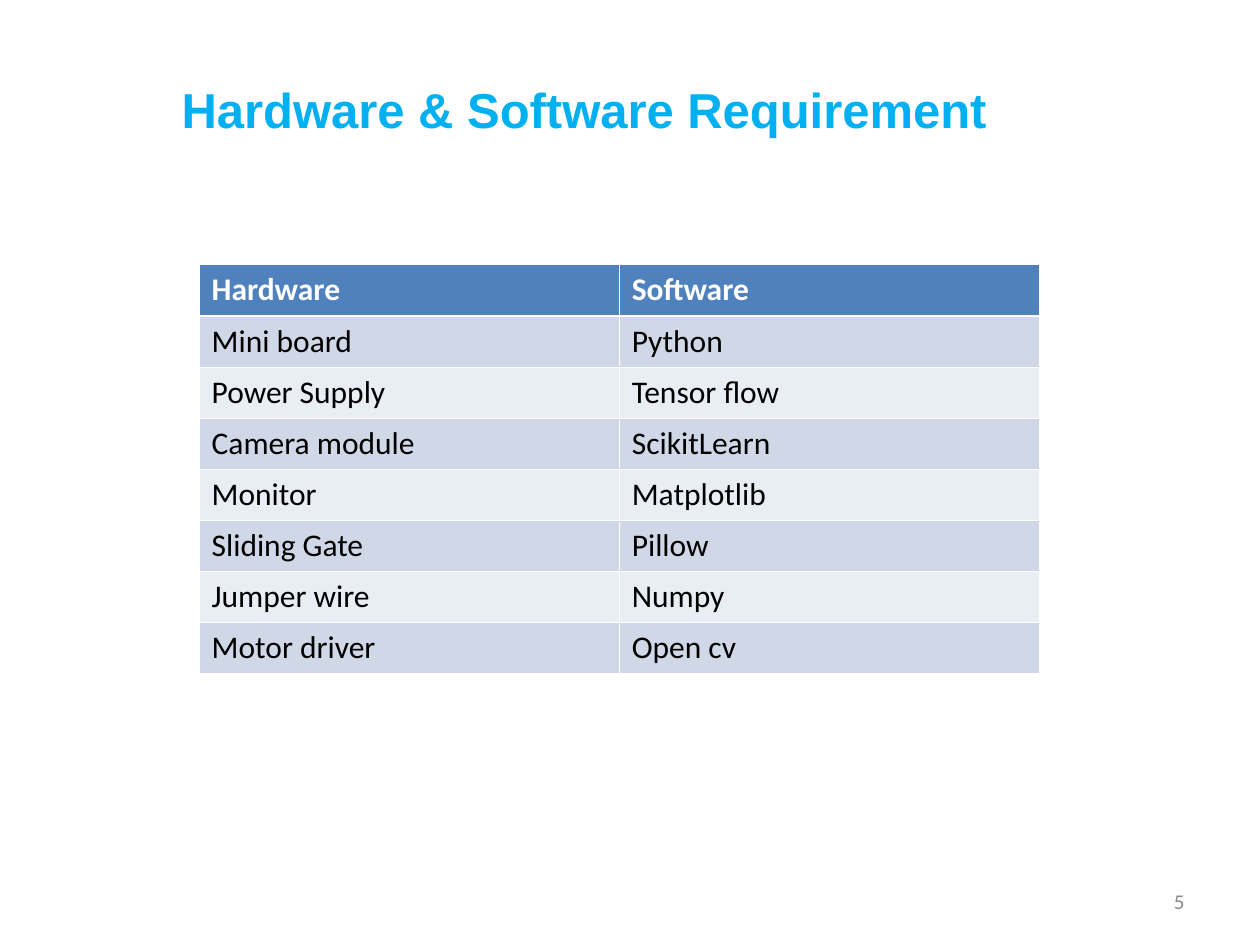
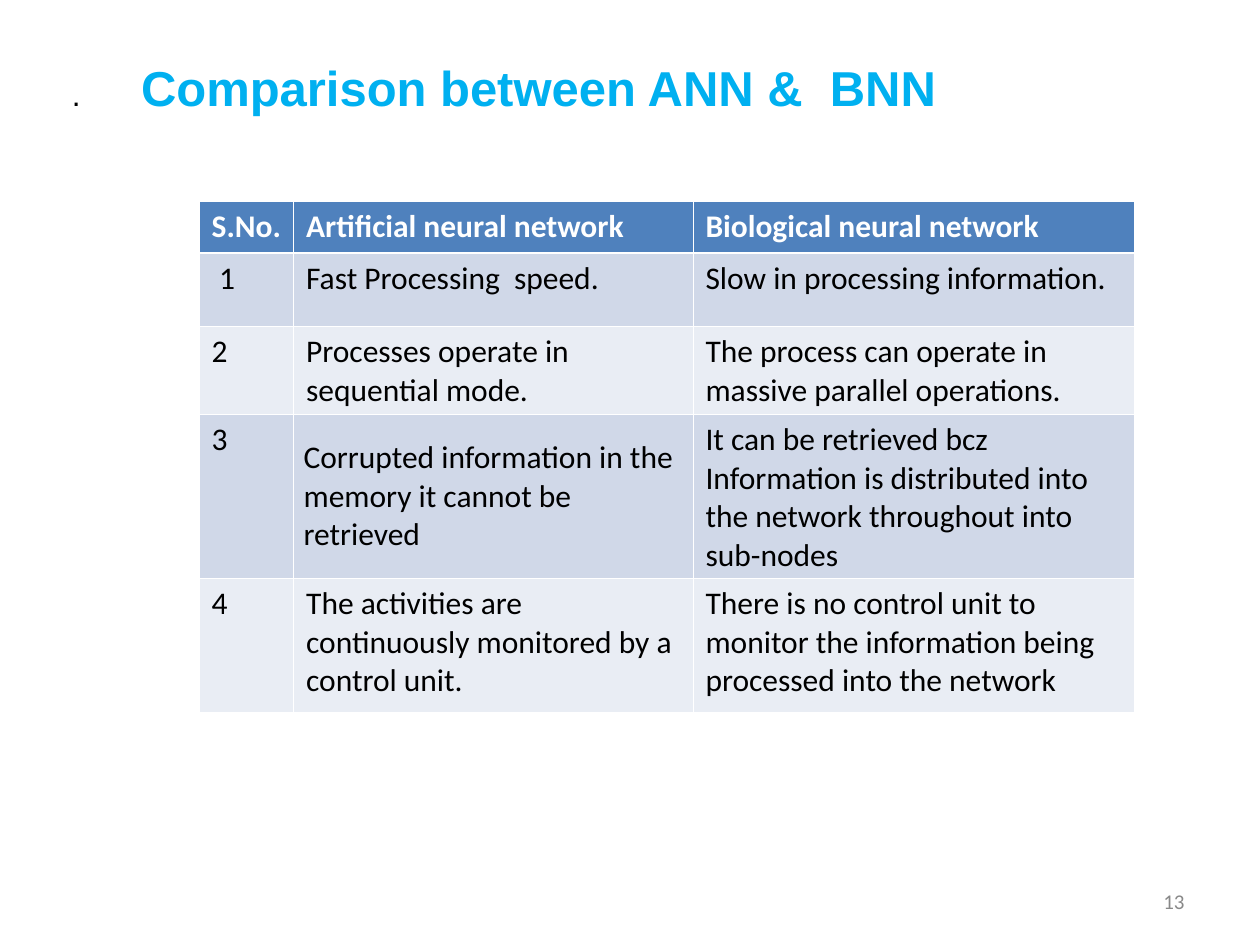
"""Build two slides that each show a titled comparison table."""
from lxml.etree import SubElement
from pptx import Presentation
from pptx.dml.color import RGBColor
from pptx.enum.text import MSO_ANCHOR, MSO_AUTO_SIZE, PP_ALIGN
from pptx.oxml.ns import qn
from pptx.util import Inches, Pt


def rgb(value):
    return RGBColor.from_string(value)


class Deck:
    HEADING, HEADER, BANDS = "00B0F0", "4F81BD", ("D0D8E8", "E9EDF4")
    WHITE, BLACK, GREY = "FFFFFF", "000000", "898989"

    def __init__(self):
        self.presentation = Presentation()
        self.presentation.slide_width = Inches(10)
        self.presentation.slide_height = Inches(7.5)
        self.slide = None

    def font(self, target, size, color, bold=False, name="Calibri"):
        target.font.name = name
        target.font.size = Pt(size)
        target.font.bold = bold
        target.font.color.rgb = rgb(color)

    def new_slide(self, number):
        layout = self.presentation.slide_layouts[5]
        self.slide = self.presentation.slides.add_slide(layout)
        footer = self.slide.shapes.add_textbox(
            Inches(7.17), Inches(6.95), Inches(2.33), Inches(0.4))
        frame = footer.text_frame
        frame.word_wrap = True
        frame.vertical_anchor = MSO_ANCHOR.MIDDLE
        frame.text = number
        frame.paragraphs[0].alignment = PP_ALIGN.RIGHT
        self.font(frame.paragraphs[0], 12, self.GREY)

    def title(self, heading, left, top, width, height, align, lead="", tab=0):
        title = self.slide.shapes.title
        title.left, title.top = Inches(left), Inches(top)
        title.width, title.height = Inches(width), Inches(height)
        frame = title.text_frame
        frame.auto_size = MSO_AUTO_SIZE.NONE
        frame.vertical_anchor = MSO_ANCHOR.TOP
        paragraph = frame.paragraphs[0]
        paragraph.alignment = align
        if lead:
            stops = SubElement(paragraph._p.get_or_add_pPr(), qn("a:tabLst"))
            SubElement(stops, qn("a:tab"), pos=str(Inches(tab)), algn="l")
            marker = paragraph.add_run()
            marker.text = lead + "\t"
            self.font(marker, 18, self.BLACK, name="Arial")
        main = paragraph.add_run()
        main.text = heading
        self.font(main, 28, self.HEADING, True, "Arial")

    def border(self, cell, side, width):
        line = SubElement(cell._tc.get_or_add_tcPr(), qn(f"a:ln{side}"),
                          w=str(Pt(width)))
        fill = SubElement(line, qn("a:solidFill"))
        SubElement(fill, qn("a:srgbClr"), val=self.WHITE)

    def table(self, rows, left, top, widths, heights):
        table = self.slide.shapes.add_table(
            len(rows), len(widths), Inches(left), Inches(top),
            Inches(sum(widths)), Inches(sum(heights))).table
        for column, width in zip(table.columns, widths):
            column.width = Inches(width)
        for r, (texts, height) in enumerate(zip(rows, heights)):
            table.rows[r].height = Inches(height)
            for c, text in enumerate(texts):
                self.cell(table.cell(r, c), text, r)
        return table

    def cell(self, cell, text, row):
        header = row == 0
        thick_side = {0: "B", 1: "T"}.get(row)
        for side in "LRTB":
            self.border(cell, side, 1.47 if side == thick_side else 0.45)
        cell.fill.solid()
        cell.fill.fore_color.rgb = rgb(
            self.HEADER if header else self.BANDS[(row - 1) % 2])
        cell.text = text
        self.font(cell.text_frame.paragraphs[0], 18,
                  self.WHITE if header else self.BLACK, header)


REQUIREMENTS = [
    ("Hardware", "Software"),
    ("Mini board", "Python"),
    ("Power Supply", "Tensor flow"),
    ("Camera module", "ScikitLearn"),
    ("Monitor", "Matplotlib"),
    ("Sliding Gate", "Pillow"),
    ("Jumper wire", "Numpy"),
    ("Motor driver", "Open cv"),
]

NETWORKS = [
    ("S.No.", "Artificial neural network", "Biological neural network"),
    ("1", "Fast Processing  speed.", "Slow in processing information."),
    ("2", "Processes operate in sequential mode.",
     "The process can operate in massive parallel operations."),
    ("3", "Corrupted information in the memory it cannot be retrieved",
     "It can be retrieved bcz Information is distributed into the network "
     "throughout into sub-nodes"),
    ("4", "The activities are continuously monitored by a control unit.",
     "There is no control unit to monitor the information being processed "
     "into the network"),
]


def main():
    deck = Deck()

    deck.new_slide("5")
    deck.title("Hardware & Software Requirement", 0.72, 0.58, 7.83, 1.5,
               PP_ALIGN.CENTER)
    deck.table(REQUIREMENTS, 1.58, 2.1, [6.67 / 2] * 2,
               [3.25 / len(REQUIREMENTS)] * len(REQUIREMENTS))

    deck.new_slide("13")
    deck.title("Comparison between ANN &  BNN", 0.47, 0.41, 9.11, 1.04,
               PP_ALIGN.LEFT, lead=".", tab=0.55)
    networks = deck.table(NETWORKS, 1.58, 1.6, [0.75, 3.17, 3.5],
                          [0.41, 0.58, 0.7, 1.3, 1.06])
    networks.cell(0, 0).margin_right = Inches(0.05)
    networks.cell(1, 0).margin_left = Inches(0.16)
    corrupted = networks.cell(3, 1)
    corrupted.vertical_anchor = MSO_ANCHOR.MIDDLE
    corrupted.margin_left = corrupted.margin_right = Inches(0.08)

    deck.presentation.save("out.pptx")


if __name__ == "__main__":
    main()
